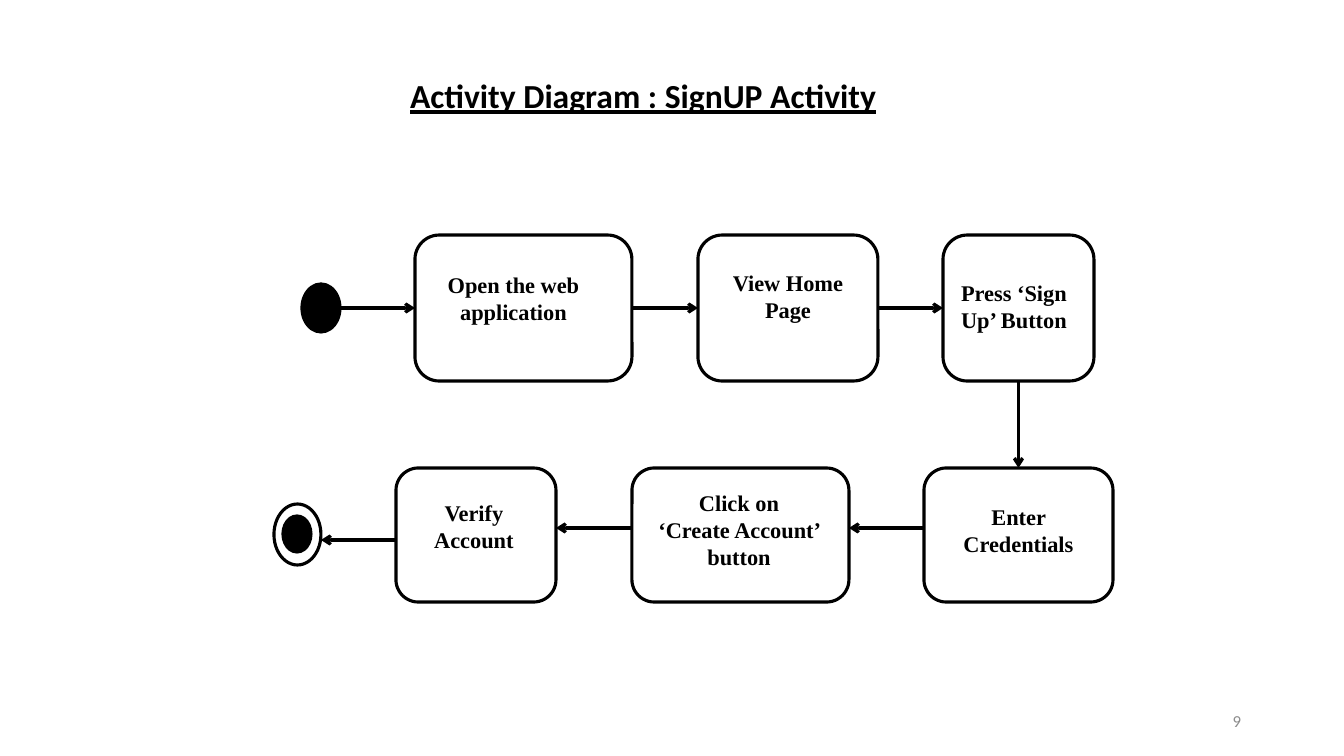
from dataclasses import dataclass

from lxml import etree
from pptx import Presentation
from pptx import util as u
from pptx.dml.color import RGBColor
from pptx.enum import shapes, text
from pptx.oxml.ns import qn

PX = 914400 / 100.8  # EMU in one px
TOP, LEFT, BOTTOM, RIGHT = range(4)


@dataclass(frozen=True)
class Theme:
    ink: RGBColor = RGBColor(0, 0, 0)
    muted: RGBColor = RGBColor(0x8C, 0x8C, 0x8C)
    heading_font: str = "Calibri"
    label_font: str = "Times New Roman"
    title_size: u.Pt = u.Pt(24)
    label_size: u.Pt = u.Pt(16)
    number_size: u.Pt = u.Pt(12)
    stroke: u.Pt = u.Pt(2.25)


THEME = Theme()

# Each step: left, width, label box relative to the step, label paragraphs
TOP_ROW = [
    (415, 217, (9, 31, 179, 65), ["Open the web application"]),
    (698, 180, (0, 29, 180, 94), ["View Home Page"]),
    (943, 151, (-9, 39, 160, 65), ["Press ‘Sign Up’ Button"]),
]
BOTTOM_ROW = [
    (924, 189, (10, 30, 169, 94), ["Enter Credentials"]),
    (632, 217, (3, 16, 208, 133), ["Click on", "‘Create Account’ button"]),
    (396, 160, (-2, 26, 160, 94), ["Verify Account"]),
]


def emu(*lengths):
    return [u.Emu(round(length * PX)) for length in lengths]


def style_font(paragraph, name, size, color, bold=False):
    font = paragraph.font
    font.name, font.size, font.bold = name, size, bold
    font.color.rgb = color


def add_outline(slide, kind, box, filled=False):
    shape = slide.shapes.add_shape(kind, *emu(*box))
    shape.shadow.inherit = False
    if filled:
        shape.fill.solid()
        shape.fill.fore_color.rgb = THEME.ink
    else:
        shape.fill.background()
    shape.line.color.rgb = THEME.ink
    shape.line.width = THEME.stroke
    return shape


def add_arrow(slide, start=(0, 0), end=(0, 0)):
    arrow = slide.shapes.add_connector(
        shapes.MSO_CONNECTOR.STRAIGHT, *emu(*start, *end))
    arrow.line.color.rgb = THEME.ink
    arrow.line.width = THEME.stroke
    etree.SubElement(arrow.line._get_or_add_ln(), qn("a:tailEnd"), type="arrow")
    etree.SubElement(arrow._element.spPr, qn("a:effectLst"))
    return arrow


def join_steps(slide, first, first_side, second, second_side):
    arrow = add_arrow(slide)
    arrow.begin_connect(first, first_side)
    arrow.end_connect(second, second_side)


def add_text_box(slide, box):
    frame = slide.shapes.add_textbox(*emu(*box)).text_frame
    frame.word_wrap = True
    return frame


def add_step(slide, box, label_box, lines):
    left, top, _, _ = box
    step = add_outline(slide, shapes.MSO_SHAPE.ROUNDED_RECTANGLE, box)
    dx, dy, width, height = label_box
    frame = add_text_box(slide, (left + dx, top + dy, width, height))
    frame.text = "\n".join(lines)
    for paragraph in frame.paragraphs:
        paragraph.alignment = text.PP_ALIGN.CENTER
        style_font(paragraph, THEME.label_font, THEME.label_size, THEME.ink, True)
    return step


def add_row(slide, top, height, steps):
    return [add_step(slide, (left, top, width, height), label_box, lines)
            for left, width, label_box, lines in steps]


def add_top_row(slide, top, height):
    """Start dot and the steps read from left to right."""
    middle = top + height // 2
    add_outline(slide, shapes.MSO_SHAPE.OVAL, (302, middle - 24, 38, 48), filled=True)
    steps = add_row(slide, top, height, TOP_ROW)
    add_arrow(slide, (340, middle), (415, middle)).end_connect(steps[0], LEFT)
    for first, second in zip(steps, steps[1:]):
        join_steps(slide, first, RIGHT, second, LEFT)
    return steps


def add_bottom_row(slide, top, height):
    """Steps read from right to left, then the end marker."""
    steps = add_row(slide, top, height, BOTTOM_ROW)
    arrow_y = top + 60
    for (start, *_), (left, width, *_) in zip(BOTTOM_ROW, BOTTOM_ROW[1:]):
        add_arrow(slide, (start, arrow_y), (left + width, arrow_y))
    add_arrow(slide, (BOTTOM_ROW[-1][0], top + 72), (321, top + 72))
    add_outline(slide, shapes.MSO_SHAPE.OVAL, (283, top + 48, 28, 36), filled=True)
    add_outline(slide, shapes.MSO_SHAPE.OVAL, (274, top + 36, 47, 61))
    return steps


def add_title(slide, box):
    title = slide.shapes.title
    title.left, title.top, title.width, title.height = emu(*box)
    frame = title.text_frame
    frame.text = "Activity Diagram : SignUP Activity"
    frame.word_wrap = True
    frame.auto_size = text.MSO_AUTO_SIZE.NONE
    frame.vertical_anchor = text.MSO_ANCHOR.TOP
    paragraph = frame.paragraphs[0]
    paragraph.alignment = text.PP_ALIGN.LEFT
    style_font(paragraph, THEME.heading_font, THEME.title_size, THEME.ink, True)
    paragraph.font.underline = True


def add_slide_number(slide, box):
    frame = add_text_box(slide, box)
    frame.text = "9"
    frame.vertical_anchor = text.MSO_ANCHOR.MIDDLE
    paragraph = frame.paragraphs[0]
    paragraph.alignment = text.PP_ALIGN.RIGHT
    style_font(paragraph, THEME.heading_font, THEME.number_size, THEME.muted)


def build_activity_slide(presentation):
    slide = presentation.slides.add_slide(
        presentation.slide_layouts.get_by_name("Title Only"))
    add_title(slide, (400, 70, 626, 50))
    top_steps = add_top_row(slide, 235, 146)
    bottom_steps = add_bottom_row(slide, 468, 134)
    join_steps(slide, top_steps[-1], BOTTOM, bottom_steps[0], TOP)
    add_slide_number(slide, (949, 701, 302, 40))


def main():
    presentation = Presentation()
    presentation.slide_width, presentation.slide_height = emu(1344, 756)
    build_activity_slide(presentation)
    presentation.save("out.pptx")


if __name__ == "__main__":
    main()
